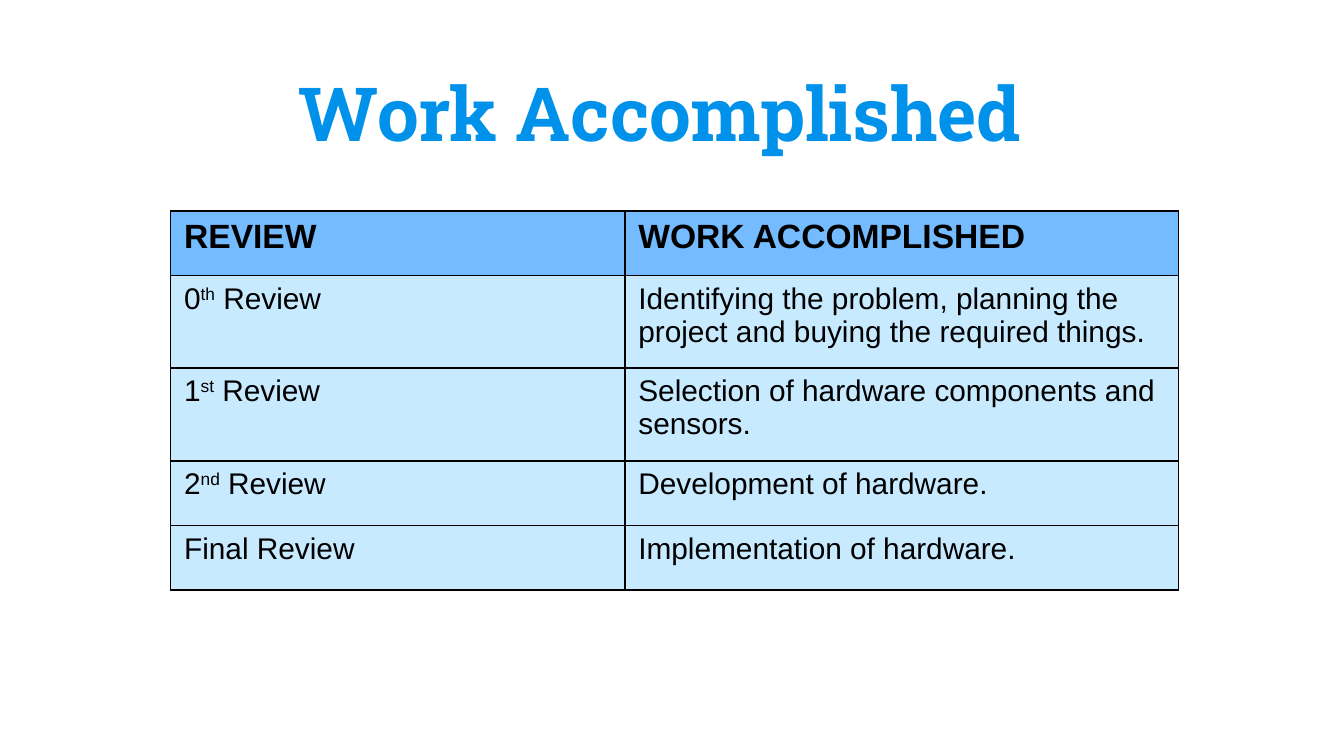
from dataclasses import dataclass

import pptx
import pptx.dml.color
import pptx.enum.text
import pptx.oxml
import pptx.oxml.ns
import pptx.util
from pptx.util import Inches

COLORS = {
    "title": "0091EA",
    "text": "000000",
    "border": "000000",
    "header": "74BBFF",
    "body": "C8EAFF",
}
TITLE_FORMAT = {"name": "Roboto Slab", "size": pptx.util.Pt(40), "bold": True}
HEADER_FORMAT = {"name": "Arial", "size": pptx.util.Pt(18), "bold": True}
BODY_FORMAT = {"name": "Arial", "size": pptx.util.Pt(16), "bold": False}

COLUMN_WIDTHS = (3.38, 4.12)
ROW_HEIGHTS = (0.48, 0.69, 0.69, 0.48, 0.48)


@dataclass
class Review:
    label: str
    work: str
    ordinal: str = ""
    rest: str = ""


REVIEWS = (
    Review("0", "Identifying the problem, planning the project and buying the required things.", "th", " Review"),
    Review("1", "Selection of hardware components and sensors.", "st", " Review"),
    Review("2", "Development of hardware.", "nd", " Review"),
    Review("Final Review", "Implementation of hardware."),
)


def rgb(name: str) -> pptx.dml.color.RGBColor:
    return pptx.dml.color.RGBColor.from_string(COLORS[name])


def add_span(para, text: str, values: dict, color: str, raised: bool = False) -> None:
    span = para.add_run()
    span.text = text
    for key, value in values.items():
        setattr(span.font, key, value)
    span.font.color.rgb = rgb(color)
    if raised:
        span.font._element.set("baseline", "30000")


def add_borders(cell) -> None:
    properties = cell._tc.get_or_add_tcPr()
    for side in ("lnL", "lnR", "lnT", "lnB"):
        properties.append(pptx.oxml.parse_xml(
            f'<a:{side} {pptx.oxml.ns.nsdecls("a")} w="12700"><a:solidFill>'
            f'<a:srgbClr val="{COLORS["border"]}"/></a:solidFill></a:{side}>'
        ))


def fill_cell(cell, texts: tuple, values: dict, fill: str) -> None:
    """Write the texts as runs; the second one, if any, is superscript."""
    add_borders(cell)
    cell.fill.solid()
    cell.fill.fore_color.rgb = rgb(fill)
    for index, text in enumerate(texts):
        if text:
            add_span(cell.text_frame.paragraphs[0], text, values, "text", raised=index == 1)


def add_title(page, text: str) -> None:
    box = page.shapes.add_textbox(Inches(1.98), Inches(0.45), Inches(5.86), Inches(0.77))
    box.text_frame.word_wrap = True
    box.text_frame.auto_size = pptx.enum.text.MSO_AUTO_SIZE.SHAPE_TO_FIT_TEXT
    para = box.text_frame.paragraphs[0]
    para.alignment = pptx.enum.text.PP_ALIGN.CENTER
    add_span(para, text, TITLE_FORMAT, "title")


def add_review_table(page) -> None:
    table = page.shapes.add_table(
        len(ROW_HEIGHTS), len(COLUMN_WIDTHS), Inches(1.27), Inches(1.57),
        Inches(sum(COLUMN_WIDTHS)), Inches(sum(ROW_HEIGHTS)),
    ).table
    for column, width in zip(table.columns, COLUMN_WIDTHS):
        column.width = Inches(width)
    for row, height in zip(table.rows, ROW_HEIGHTS):
        row.height = Inches(height)

    # Header row
    for column, heading in enumerate(("REVIEW", "WORK ACCOMPLISHED")):
        fill_cell(table.cell(0, column), (heading,), HEADER_FORMAT, "header")

    # One row for each review
    for row, review in enumerate(REVIEWS, start=1):
        label = (review.label, review.ordinal, review.rest)
        fill_cell(table.cell(row, 0), label, BODY_FORMAT, "body")
        fill_cell(table.cell(row, 1), (review.work,), BODY_FORMAT, "body")


def main() -> None:
    deck = pptx.Presentation()
    # Widescreen, 16 to 9
    deck.slide_width = Inches(10)
    deck.slide_height = Inches(10) * 9 // 16
    page = deck.slides.add_slide(deck.slide_layouts[6])
    add_title(page, "Work Accomplished")
    add_review_table(page)
    deck.save("out.pptx")


if __name__ == "__main__":
    main()
